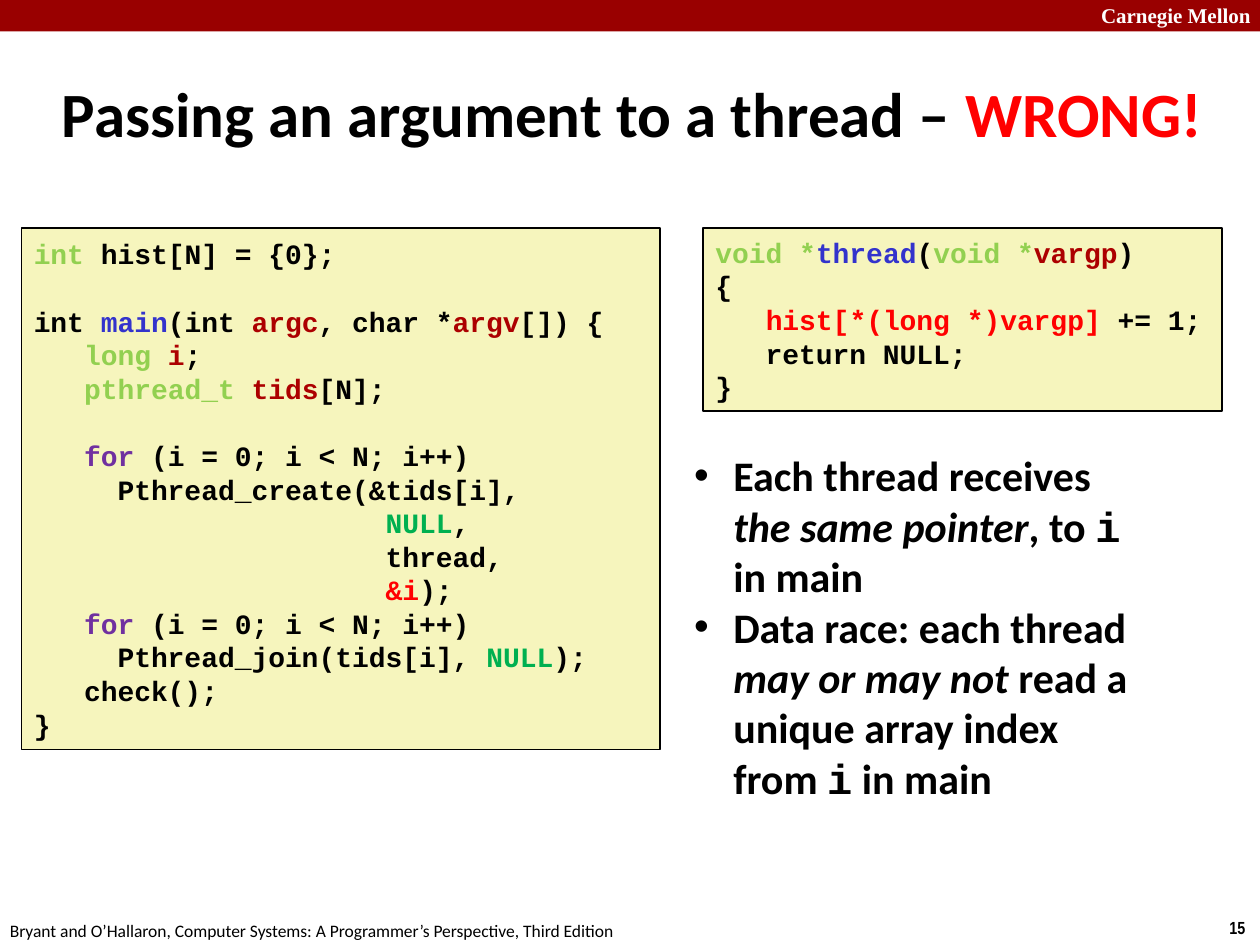
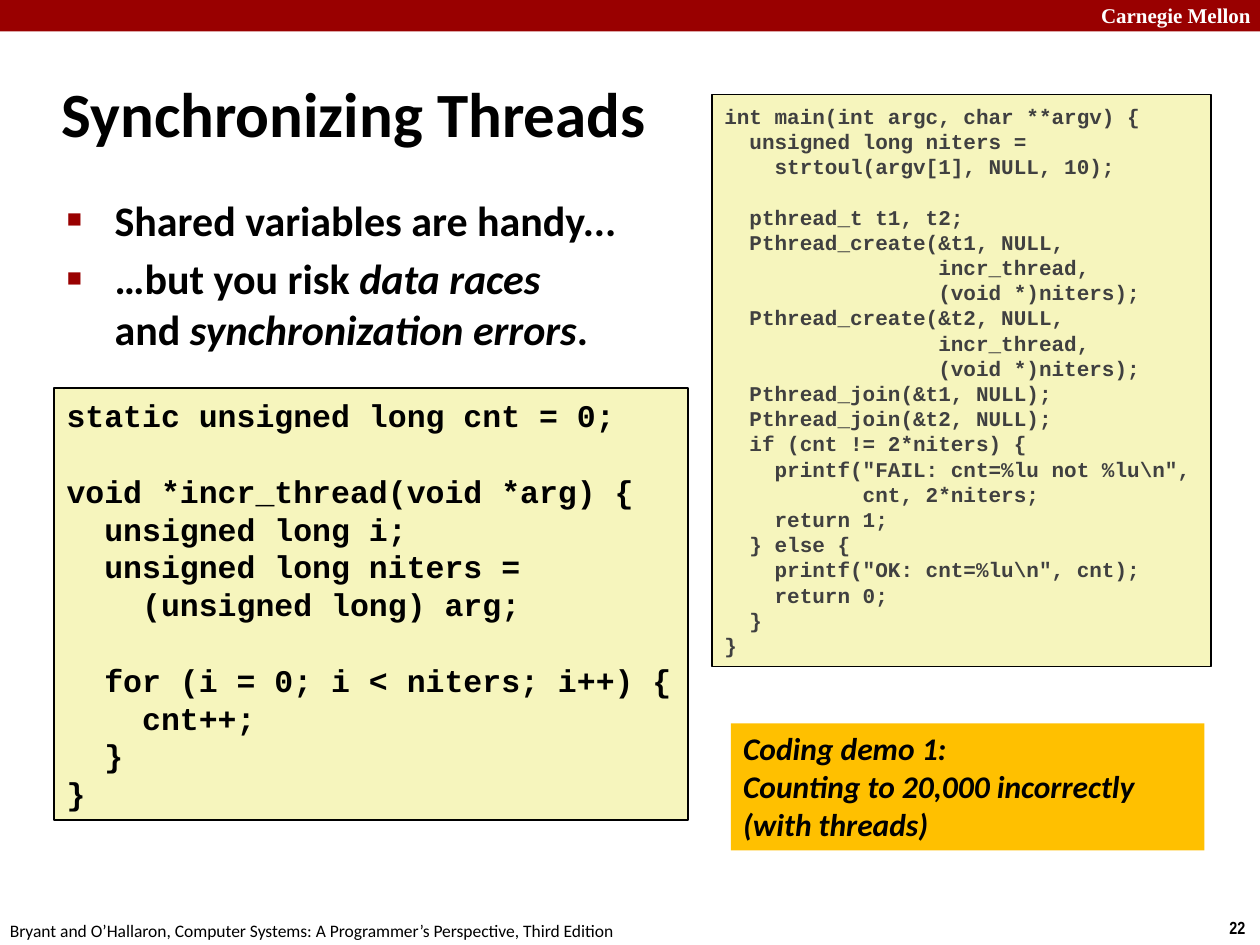
from lxml.etree import SubElement as Sub
from pptx import Presentation
from pptx.dml.color import RGBColor as RGB
from pptx.enum.shapes import MSO_SHAPE as Shape
from pptx.enum.text import MSO_ANCHOR as Anchor, MSO_AUTO_SIZE as Auto, PP_ALIGN as Align
from pptx.oxml.ns import qn
from pptx.util import Inches, Pt

HUES = {
    "band": "990000", "white": "FFFFFF", "black": "000000", "gray": "404040",
    "cream": "F6F5BD", "amber": "FFC000", "lime": "92D050", "blue": "3333CC",
    "wine": "AC0000", "plum": "7030A0", "green": "00B050", "red": "FF0000",
}
BASE = {"name": "Calibri", "size": Pt(24), "bold": True, "italic": False, "color": "black"}
HEAD = BASE | {"size": Pt(36)}
DEMO = BASE | {"size": Pt(18), "italic": True}
CODE = BASE | {"name": "Courier New", "size": Pt(16)}
FOOT = BASE | {"size": Pt(10), "bold": False}
PAGE = FOOT | {"name": "Arial Narrow", "bold": True}
NAME = BASE | {"name": "Times New Roman", "size": Pt(12), "color": "white"}
MARKS = {
    "type": {"color": "lime"}, "func": {"color": "blue"}, "var": {"color": "wine"},
    "key": {"color": "plum"}, "null": {"color": "green"}, "bad": {"color": "red"},
    "em": {"italic": True}, "code": {"name": "Courier New"},
}

HIST = r"""`type:int `hist[N] = {0};

int `func:main`(int `var:argc`, char *`var:argv`[]) {
   `type:long ``var:i`;
   `type:pthread_t ``var:tids`[N];

   `key:for` (i = 0; i < N; i++)
     Pthread_create(&tids[i],
                     `null:NULL`,
                     thread,
                     `bad:&i`);
   `key:for` (i = 0; i < N; i++)
     Pthread_join(tids[i], `null:NULL`);
   check();
}"""

THREAD = r"""`type:void *``func:thread`(`type:void *``var:vargp`)
{
   `bad:hist[*(long *)vargp]` += 1;
   return NULL;
}"""

INCR = r"""static unsigned long cnt = 0;

void *incr_thread(void *arg) {
  unsigned long i;
  unsigned long niters =
    (unsigned long) arg;

  for (i = 0; i < niters; i++) {
    cnt++;
  }
}"""

MAIN = r"""int main(int argc, char **argv) {
  unsigned long niters =
    strtoul(argv[1], NULL, 10);

  pthread_t t1, t2;
  Pthread_create(&t1, NULL,
                 incr_thread,
                 (void *)niters);
  Pthread_create(&t2, NULL,
                 incr_thread,
                 (void *)niters);
  Pthread_join(&t1, NULL);
  Pthread_join(&t2, NULL);
  if (cnt != 2*niters) {
    printf("FAIL: cnt=%lu not %lu\n",
           cnt, 2*niters;
    return 1;
  } else {
    printf("OK: cnt=%lu\n", cnt);
    return 0;
  }
}"""

SLIDES = [
    {
        "page": "15",
        "title": "Passing an argument to a thread – `bad:WRONG!`",
        "wide": 9.48,
        "list": "Each thread receives\v`em:the same pointer`, to `code:i` in main\n"
                "Data race: each thread\v`em:may or may not` read a unique array index "
                "from `code:i` in main",
        "body": (5.41, 3.52, 3.64, 2.93),
        "bullet": {"char": "•", "dent": 0.31, "gap": 0},
        "boxes": [
            (HIST, (0.17, 1.81, 5.07, 4.14), "cream", CODE),
            (THREAD, (5.58, 1.81, 4.12, 1.45), "cream", CODE),
        ],
    },
    {
        "page": "22",
        "title": "Synchronizing Threads",
        "wide": 8.3,
        "list": "Shared variables are handy...\n"
                "…but you risk `em:data races`\vand `em:synchronization errors`.",
        "body": (0.43, 1.49, 8.64, 5.44),
        "bullet": {"char": "■", "dent": 0.38, "gap": 4.8, "color": "band", "size": 60},
        "boxes": [
            ("Coding demo 1:\vCounting to 20,000 incorrectly\v(with threads)",
             (5.8, 5.74, 3.76, 1.01), "amber", DEMO),
            (INCR, (0.43, 3.08, 5.03, 3.43), "cream", CODE | {"size": Pt(18)}),
            (MAIN, (5.65, 0.75, 3.96, 4.54), "cream",
             CODE | {"size": Pt(12), "color": "gray"}),
        ],
    },
]


def write(shape, text, base, wrap=True):
    """Fill a shape: newlines split paragraphs, \\v breaks lines, `mark:words` changes format."""
    frame = shape.text_frame
    frame.word_wrap = wrap
    frame.auto_size = Auto.NONE
    for n, line in enumerate(text.split("\n")):
        para = frame.add_paragraph() if n else frame.paragraphs[0]
        para.alignment = Align.LEFT
        for k, piece in enumerate((line or " ").split("`")):
            look = base
            if k % 2:
                mark, _, piece = piece.partition(":")
                look = base | MARKS[mark]
            for b, words in enumerate(piece.split("\v")):
                if b:
                    para.add_line_break()
                if not words:
                    continue
                run = para.add_run()
                run.text = words
                for key, val in look.items():
                    if key == "color":
                        run.font.color.rgb = RGB.from_string(HUES[val])
                    else:
                        setattr(run.font, key, val)


def block(slide, place, hue):
    rect = slide.shapes.add_shape(Shape.RECTANGLE, *map(Inches, place))
    rect.shadow.inherit = False
    rect.fill.solid()
    rect.fill.fore_color.rgb = RGB.from_string(HUES[hue])
    rect.line.fill.background()
    return rect


prs = Presentation()
prs.slide_width, prs.slide_height = Inches(10), Inches(7.5)

for data in SLIDES:
    slide = prs.slides.add_slide(prs.slide_layouts[1])

    # Band, footer and page number
    block(slide, (0, 0, 10, 0.25), "band")
    for text, place, look, wrap in [
        ("Carnegie Mellon", (8.64, -0.03, 1.43, 0.3), NAME, True),
        (data["page"], (9.66, 7.23, 0.34, 0.27), PAGE, False),
        ("Bryant and O’Hallaron, Computer Systems: A Programmer’s Perspective, Third Edition",
         (-0.02, 7.25, 5.08, 0.27), FOOT, False),
    ]:
        write(slide.shapes.add_textbox(*map(Inches, place)), text, look, wrap)

    # Title and list
    title, body = slide.placeholders
    for holder, place in [(title, (0.39, 0.48, data["wide"], 0.83)), (body, data["body"])]:
        holder.left, holder.top, holder.width, holder.height = map(Inches, place)
    write(title, data["title"], HEAD)
    title.text_frame.vertical_anchor = Anchor.MIDDLE
    write(body, data["list"], BASE)
    bullet = data["bullet"]
    for n, para in enumerate(body.text_frame.paragraphs):
        props = para._p.get_or_add_pPr()
        props.set("marL", str(Inches(bullet["dent"])))
        props.set("indent", str(-Inches(bullet["dent"])))
        if "color" in bullet:
            Sub(Sub(props, qn("a:buClr")), qn("a:srgbClr"), val=HUES[bullet["color"]])
            Sub(props, qn("a:buSzPct"), val=str(bullet["size"] * 1000))
        Sub(props, qn("a:buFont"), typeface="Arial")
        Sub(props, qn("a:buChar"), char=bullet["char"])
        para.space_before = Pt(bullet["gap"] if n else 0)

    # Code and demo boxes
    for text, place, hue, look in data["boxes"]:
        box = block(slide, place, hue)
        write(box, text, look)
        box.text_frame.vertical_anchor = Anchor.TOP
        if hue == "cream":
            box.text_frame.vertical_anchor = Anchor.MIDDLE
            box.line.color.rgb = RGB.from_string(HUES["black"])
            box.line.width = Pt(1)

prs.save("out.pptx")
